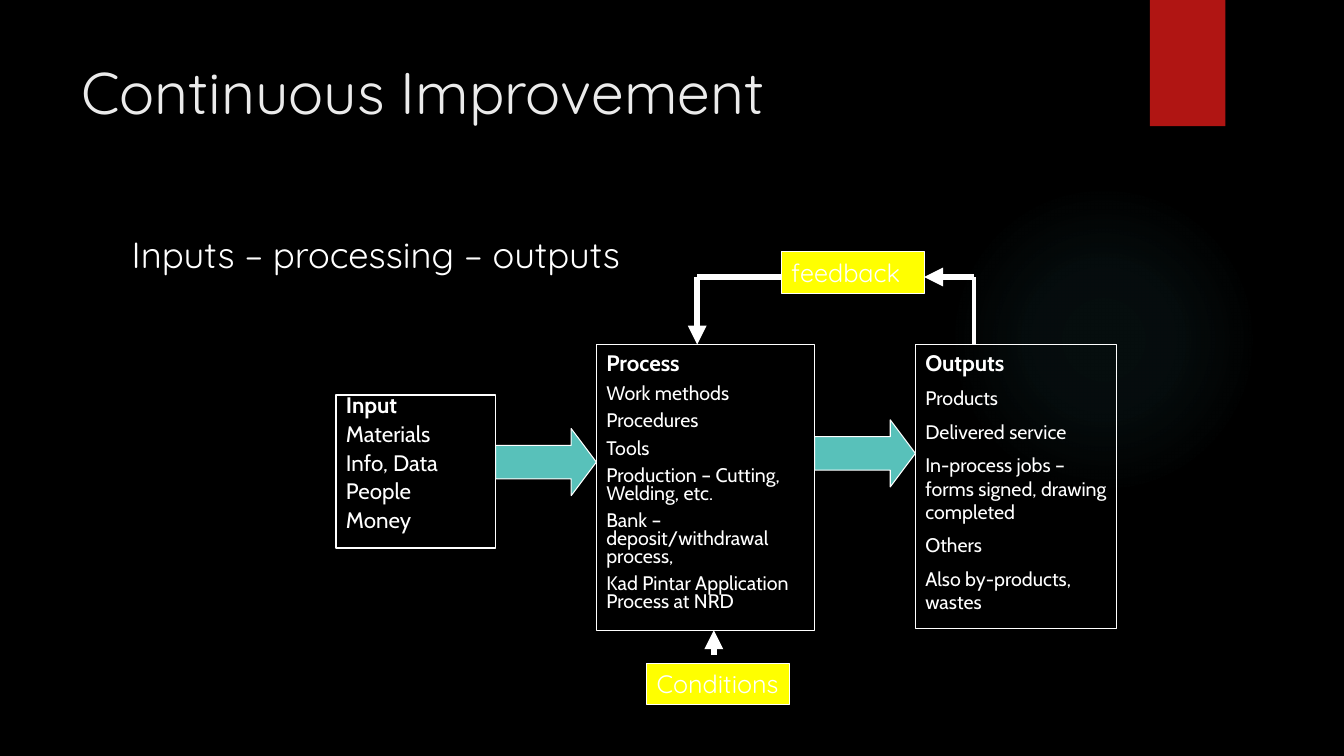
from dataclasses import dataclass
from typing import Any

import lxml.etree
import pptx
import pptx.dml.color
import pptx.enum.shapes
import pptx.enum.text
import pptx.oxml
import pptx.oxml.ns
import pptx.util

Cm = pptx.util.Cm
Pt = pptx.util.Pt
SHAPE = pptx.enum.shapes.MSO_SHAPE
qn = pptx.oxml.ns.qn
WHITE, YELLOW, TEAL, RED = "FFFFFF", "FFFF00", "58C1BA", "B01513"
BODY_FONT, HEAD_FONT = "Cabin", "Quicksand"


@dataclass
class Box:
    left: float
    top: float
    width: float
    height: float
    lines: list[str]
    head_size: int = 16
    size: int = 14
    font: str = BODY_FONT
    bold_head: bool = True
    head_spacing: float = 1.0
    spacing: float = 1.0
    fill: str | None = None
    line_width: float = 0.75


@dataclass
class Line:
    x1: float
    y1: float
    x2: float
    y2: float
    width: float = 4.5
    arrow: bool = False


BOXES = [
    Box(8.47, 9.95, 4.02, 3.86, ["Input", "Materials", "Info, Data", "People", "Money"],
        size=16, head_spacing=0.65, spacing=0.65, line_width=1),
    Box(15.03, 8.68, 5.5, 7.2,
        ["Process", "Work methods", "Procedures", "Tools",
         "Production – Cutting, Welding, etc.",
         "Bank – deposit/withdrawal process,",
         "Kad Pintar Application Process at NRD"], spacing=0.75),
    Box(23.07, 8.68, 5.08, 7.16,
        ["Outputs", "Products", "Delivered service",
         "In-process jobs – forms signed, drawing completed",
         "Others", "Also by-products, wastes"]),
]
LABELS = [
    Box(left, top, 3.6, 1.04, [text], head_size=18, font=HEAD_FONT, bold_head=False, fill=YELLOW)
    for left, top, text in [(16.3, 16.72, "Conditions"), (19.69, 6.35, "feedback")]
]
FLOW_ARROWS = [(12.49, 10.8), (20.53, 10.58)]
LINES = [
    Line(17.99, 16.51, 17.99, 15.88, arrow=True),
    Line(24.55, 8.68, 24.55, 6.98, width=3),
    Line(20.11, 6.98, 17.57, 6.98),
    Line(17.57, 6.98, 17.57, 8.68, arrow=True),
    Line(24.55, 6.98, 23.29, 6.98, arrow=True),
]


def rgb(value: str) -> pptx.dml.color.RGBColor:
    return pptx.dml.color.RGBColor.from_string(value)


def apply(target: Any, values: dict[str, Any]) -> None:
    for name, value in values.items():
        setattr(target, name, value)


def add_shape(slide: Any, kind: Any, left: float, top: float, width: float, height: float,
              fill: str | None = None, line_width: float = 0) -> Any:
    sp = slide.shapes.add_shape(kind, Cm(left), Cm(top), Cm(width), Cm(height))
    sp.shadow.inherit = False
    if fill:
        sp.fill.solid()
        sp.fill.fore_color.rgb = rgb(fill)
    else:
        sp.fill.background()
    if line_width:
        sp.line.color.rgb = rgb(WHITE)
        sp.line.width = Pt(line_width)
    else:
        sp.line.fill.background()
    return sp


def write(p: Any, text: str, size: int, font: str, color: str = WHITE, bold: bool = False) -> None:
    r = p.add_run()
    r.text = text
    apply(r.font, {"name": font, "size": Pt(size), "bold": bold})
    r.font.color.rgb = rgb(color)
    p.alignment = pptx.enum.text.PP_ALIGN.LEFT


def prepare(tf: Any) -> None:
    apply(tf, {"word_wrap": True, "vertical_anchor": pptx.enum.text.MSO_ANCHOR.TOP,
               "auto_size": pptx.enum.text.MSO_AUTO_SIZE.NONE,
               "margin_left": Cm(0.25), "margin_right": Cm(0.2),
               "margin_top": Cm(0.13), "margin_bottom": Cm(0.13)})


def add_box(slide: Any, box: Box) -> None:
    sp = add_shape(slide, SHAPE.RECTANGLE, box.left, box.top, box.width, box.height,
                   box.fill, box.line_width)
    tf = sp.text_frame
    prepare(tf)
    for i, text in enumerate(box.lines):
        head = i == 0
        p = tf.paragraphs[0] if head else tf.add_paragraph()
        size = box.head_size if head else box.size
        write(p, text, size, box.font, bold=head and box.bold_head)
        apply(p, {"space_before": Pt(size / 2),
                  "line_spacing": box.head_spacing if head else box.spacing})


def add_line(slide: Any, line: Line) -> None:
    cx = slide.shapes.add_connector(pptx.enum.shapes.MSO_CONNECTOR.STRAIGHT,
                                    Cm(line.x1), Cm(line.y1), Cm(line.x2), Cm(line.y2))
    cx.line.color.rgb = rgb(WHITE)
    cx.line.width = Pt(line.width)
    if line.arrow:
        ln = cx.line._get_or_add_ln()
        lxml.etree.SubElement(ln, qn("a:tailEnd"), type="triangle")
    lxml.etree.SubElement(cx._element.spPr, qn("a:effectLst"))


def add_glow(slide: Any) -> None:
    sp = add_shape(slide, SHAPE.OVAL, 23.9, 4.65, 7.82, 7.82)
    stops = "".join(
        f'<a:gs pos="{pos}000"><a:srgbClr val="50B9C1"><a:alpha val="{alpha}000"/></a:srgbClr></a:gs>'
        for pos, alpha in [(0, 7), (36, 6), (69, 0), (100, 0)])
    grad = pptx.oxml.parse_xml(
        f'<a:gradFill {pptx.oxml.ns.nsdecls("a")}><a:gsLst>{stops}</a:gsLst><a:path path="circle">'
        '<a:fillToRect l="50000" t="50000" r="50000" b="50000"/></a:path></a:gradFill>')
    spPr = sp._element.spPr
    spPr.replace(spPr.find(qn("a:noFill")), grad)


def main() -> None:
    prs = pptx.Presentation()
    apply(prs, {"slide_width": Cm(33.87), "slide_height": Cm(19.05)})
    slide = prs.slides.add_slide(prs.slide_layouts[5])
    slide.background.fill.solid()
    slide.background.fill.fore_color.rgb = rgb("000000")

    add_glow(slide)
    add_shape(slide, SHAPE.RECTANGLE, 28.98, 0, 1.9, 3.18, RED)

    title = slide.shapes.title
    apply(title, {"left": Cm(1.8), "top": Cm(1.27), "width": Cm(26.14), "height": Cm(3.89)})
    prepare(title.text_frame)
    write(title.text_frame.paragraphs[0], "Continuous Improvement", 42, HEAD_FONT, "EBEBEB")

    subtitle = slide.shapes.add_textbox(Cm(3.07), Cm(5.72), Cm(24.84), Cm(11.66))
    prepare(subtitle.text_frame)
    write(subtitle.text_frame.paragraphs[0], "Inputs – processing – outputs", 26, HEAD_FONT)

    for box in BOXES:
        add_box(slide, box)
    for left, top in FLOW_ARROWS:
        arrow = add_shape(slide, SHAPE.RIGHT_ARROW, left, top, 2.54, 1.69, TEAL, 0.75)
        arrow.adjustments[1] = 0.375
    for line in LINES:
        add_line(slide, line)
    for label in LABELS:
        add_box(slide, label)

    prs.save("out.pptx")


if __name__ == "__main__":
    main()
